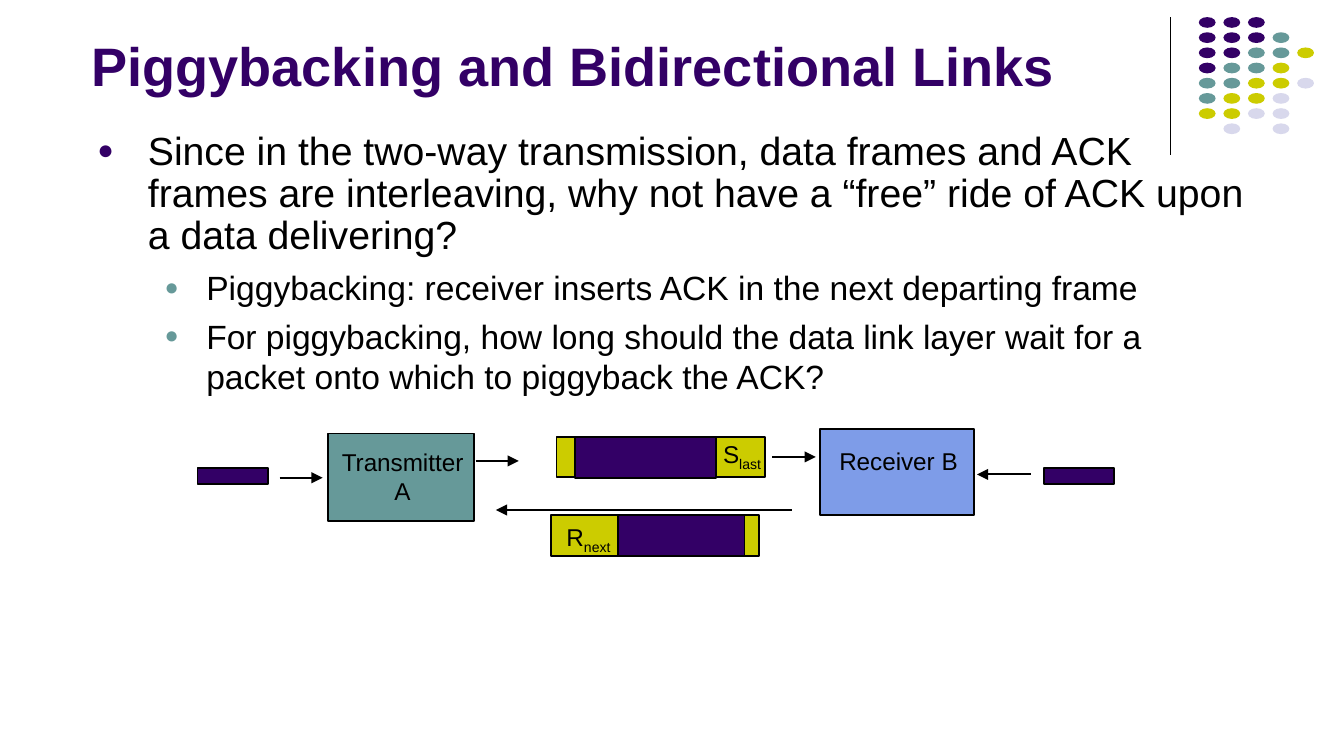
from dataclasses import dataclass

import pptx
import pptx.dml.color
import pptx.enum.shapes
import pptx.enum.text
import pptx.oxml
import pptx.oxml.ns
import pptx.util
from lxml import etree


@dataclass(frozen=True)
class Theme:
    font: str = "Arial"
    ink: str = "000000"
    purple: str = "330066"
    teal: str = "669999"
    olive: str = "CCCC00"
    blue: str = "7E9CE8"
    pale: str = "D8D8EC"
    title: float = 29
    body: float = 21
    sub: float = 18
    label: float = 13
    line: float = 0.99
    rule: float = 0.74


@dataclass(frozen=True)
class Box:
    col: float
    row: float
    cols: float
    rows: float
    fill: str


@dataclass(frozen=True)
class Arrow:
    col: float
    row: float
    end: float


@dataclass(frozen=True)
class Label:
    col: float
    row: float
    cols: float
    rows: float
    text: str
    subscript: str = ""


@dataclass(frozen=True)
class Bullet:
    level: int
    text: str
    size: float
    color: str
    margin: float
    hang: float
    before: float
    spacing: float


T = Theme()
COLUMNS = 100
prs = pptx.Presentation()
prs.slide_width = pptx.util.Inches(10)
prs.slide_height = pptx.util.Emu(prs.slide_width * 9 // 16)
CELL = prs.slide_width / COLUMNS


def cells(n: float) -> int:
    return pptx.util.Emu(round(n * CELL))


def rgb(color: str) -> pptx.dml.color.RGBColor:
    return pptx.dml.color.RGBColor.from_string(color)


def style(r, size: float, color: str, bold: bool = False) -> None:
    r.font.name = T.font
    r.font.size = pptx.util.Pt(size)
    r.font.color.rgb = rgb(color)
    r.font.bold = bold


def place(sp, col: float, row: float, cols: float, rows: float) -> None:
    sp.left, sp.top, sp.width, sp.height = map(cells, (col, row, cols, rows))


def frame(tf, across: float, down: float, anchor, wrap: bool = True) -> None:
    tf.margin_left = tf.margin_right = cells(across)
    tf.margin_top = tf.margin_bottom = cells(down)
    tf.auto_size = pptx.enum.text.MSO_AUTO_SIZE.NONE
    tf.vertical_anchor = anchor
    tf.word_wrap = wrap


def add_box(shapes, box: Box, kind, outlined: bool = True) -> None:
    sp = shapes.add_shape(kind, *map(cells, (box.col, box.row, box.cols, box.rows)))
    sp.shadow.inherit = False
    sp.fill.solid()
    sp.fill.fore_color.rgb = rgb(box.fill)
    if outlined:
        sp.line.color.rgb = rgb(T.ink)
        sp.line.width = pptx.util.Pt(T.line)
    else:
        sp.line.fill.background()


def add_line(shapes, start: tuple, end: tuple, width: float, head: bool) -> None:
    straight = pptx.enum.shapes.MSO_CONNECTOR.STRAIGHT
    cn = shapes.add_connector(straight, *map(cells, start + end))
    cn.line.color.rgb = rgb(T.ink)
    cn.line.width = pptx.util.Pt(width)
    if head:
        tail = etree.SubElement(cn.line._get_or_add_ln(), pptx.oxml.ns.qn("a:tailEnd"))
        tail.set("type", "triangle")
    etree.SubElement(cn._element.spPr, pptx.oxml.ns.qn("a:effectLst"))


def add_label(shapes, label: Label) -> None:
    sp = shapes.add_textbox(*map(cells, (label.col, label.row, label.cols, label.rows)))
    tf = sp.text_frame
    frame(tf, 0.7, 0.4, TOP, wrap=not label.subscript)
    p = tf.paragraphs[0]
    p.text = label.text
    if label.subscript:
        r = p.add_run()
        r.text = label.subscript
        r.font._element.set("baseline", "-25000")
    else:
        p.alignment = pptx.enum.text.PP_ALIGN.CENTER
    for r in p.runs:
        style(r, T.label, T.ink)


def add_bullet(p, bullet: Bullet) -> None:
    p.text = bullet.text
    p.level = bullet.level
    p.line_spacing = bullet.spacing
    p.space_before = pptx.util.Pt(bullet.before)
    style(p.runs[0], bullet.size, T.ink)
    pPr = p._p.get_or_add_pPr()
    pPr.set("marL", str(cells(bullet.margin)))
    pPr.set("indent", str(-cells(bullet.hang)))
    color = etree.SubElement(pPr, pptx.oxml.ns.qn("a:buClr"))
    etree.SubElement(color, pptx.oxml.ns.qn("a:srgbClr")).set("val", bullet.color)
    for tag, key, value in (("a:buSzPct", "val", "70000"),
                            ("a:buFont", "typeface", T.font),
                            ("a:buChar", "char", "●")):
        etree.SubElement(pPr, pptx.oxml.ns.qn(tag)).set(key, value)


TOP = pptx.enum.text.MSO_ANCHOR.TOP
MIDDLE = pptx.enum.text.MSO_ANCHOR.MIDDLE
RECT = pptx.enum.shapes.MSO_SHAPE.RECTANGLE
OVAL = pptx.enum.shapes.MSO_SHAPE.OVAL

DOT_COLORS = {"P": T.purple, "T": T.teal, "O": T.olive, "L": T.pale}
DOT_ROWS = ("PPP", "PPPT", "PPTTO", "PTTO", "TTOOL", "TOOL", "OOLL", " L L")

BULLETS = (
    Bullet(0, "Since in the two-way transmission, data frames and ACK frames are "
              "interleaving, why not have a “free” ride of ACK upon a data delivering?",
           T.body, T.purple, 3.75, 3.75, 5.2, 0.9),
    *(Bullet(1, text, T.sub, T.teal, 8.1, 3.1, 4.5, 1.0) for text in (
        "Piggybacking: receiver inserts ACK in the next departing frame",
        "For piggybacking, how long should the data link layer wait for a packet "
        "onto which to piggyback the ACK?")),
)
BOXES = (
    Box(24.4, 32.25, 10.9, 6.5, T.teal),
    Box(61, 31.9, 11.5, 6.45, T.blue),
    Box(14.7, 34.8, 5.25, 1.2, T.purple),
    Box(77.7, 34.8, 5.2, 1.25, T.purple),
    Box(41.4, 32.5, 15.5, 3, T.olive),
    Box(42.8, 32.55, 10.5, 3, T.purple),
    Box(41, 38.35, 15.5, 3, T.olive),
    Box(46, 38.35, 9.4, 3, T.purple),
)
ARROWS = (
    Arrow(20.8, 35.55, 24),
    Arrow(35.4, 34.3, 38.6),
    Arrow(57.45, 34, 60.7),
    Arrow(76.7, 35.3, 72.7),
    Arrow(58.9, 37.95, 36.9),
)
LABELS = (
    Label(24.05, 32.85, 11.8, 5.1, "Transmitter A"),
    Label(61.7, 32.8, 10.3, 2.9, "Receiver B"),
    Label(53.1, 32.25, 4.3, 3.2, "S", "last"),
    Label(41.45, 38.45, 4.8, 3.2, "R", "next"),
)

s = prs.slides.add_slide(prs.slide_layouts[1])
title, body = s.placeholders
add_line(s.shapes, (87.1, 1.3), (87.1, 11.5), T.rule, head=False)

dots = s.shapes.add_group_shape().shapes
for j, line in enumerate(DOT_ROWS):
    for i, key in enumerate(line):
        if key in DOT_COLORS:
            dot = Box(89.2 + 1.83 * i, 1.27 + 1.13 * j, 1.25, 0.8, DOT_COLORS[key])
            add_box(dots, dot, OVAL, outlined=False)

place(title, 6.3, 2.2, 73.3, 5.3)
title.text_frame.text = "Piggybacking and Bidirectional Links"
frame(title.text_frame, 0.5, 0.2, MIDDLE)
title.text_frame.paragraphs[0].alignment = pptx.enum.text.PP_ALIGN.LEFT
style(title.text_frame.paragraphs[0].runs[0], T.title, T.purple, bold=True)

place(body, 6.25, 9.28, 87.5, 27.5)
tf = body.text_frame
frame(tf, 1, 0.5, TOP)
for i, bullet in enumerate(BULLETS):
    add_bullet(tf.add_paragraph() if i else tf.paragraphs[0], bullet)

diagram = s.shapes.add_group_shape().shapes
for box in BOXES:
    add_box(diagram, box, RECT)
for arrow in ARROWS:
    add_line(diagram, (arrow.col, arrow.row), (arrow.end, arrow.row), T.line, head=True)
for label in LABELS:
    add_label(diagram, label)

prs.save("out.pptx")
